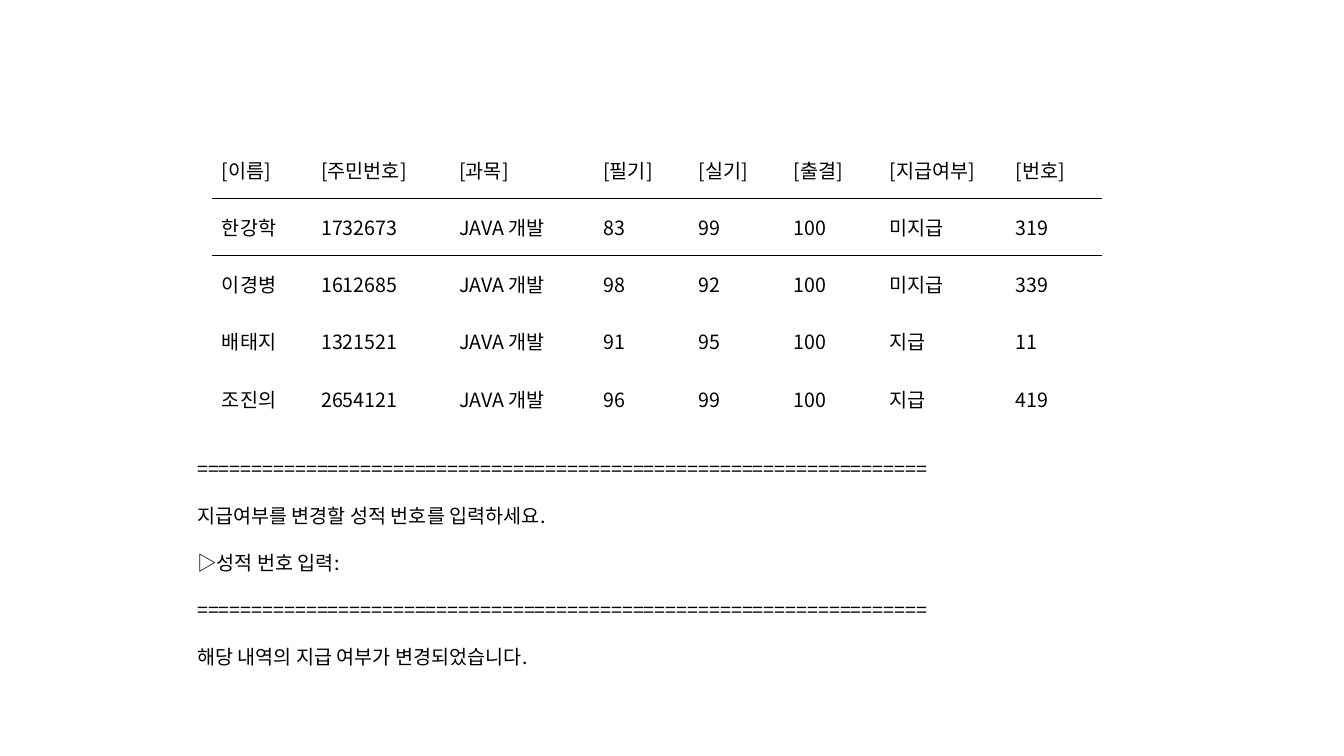
from dataclasses import dataclass

from lxml import etree
from pptx import Presentation
from pptx.dml.color import RGBColor
from pptx.enum.text import MSO_ANCHOR, MSO_AUTO_SIZE
from pptx.oxml.ns import qn
from pptx.slide import Slide
from pptx.table import _Cell
from pptx.text.text import _Paragraph
from pptx.util import Cm, Pt

MIDDLE = MSO_ANCHOR.MIDDLE
GROW = MSO_AUTO_SIZE.SHAPE_TO_FIT_TEXT
BLANK_LAYOUT = 6
PLAIN_TABLE_STYLE = "{2D5ABB26-0587-4C30-8999-92F81FD0307C}"
COLORS = {"ink": "000000"}
FONT = "Noto Sans CJK KR"
TEXT_FORMAT = {"name": FONT, "size": Pt(14), "bold": False}
LINE_HEIGHT = Pt(16.8)
PROMPT_FORMAT = {"line_spacing": LINE_HEIGHT, "space_after": LINE_HEIGHT}
LAST_PROMPT_FORMAT = {"line_spacing": LINE_HEIGHT}
ROW_HEIGHT = 1.44
RULE = "=" * 67


@dataclass(frozen=True)
class Column:
    """A heading and its column width in centimetres."""
    heading: str
    width: float


@dataclass(frozen=True)
class Score:
    """One student's score record."""
    name: str
    resident_number: str
    written: str
    practical: str
    payment: str
    number: str
    subject: str = "JAVA 개발"
    attendance: str = "100"

    def values(self) -> list[str]:
        """Return the values in column order."""
        return [self.name, self.resident_number, self.subject, self.written,
                self.practical, self.attendance, self.payment, self.number]


COLUMNS = [
    Column("이름", 2.5), Column("주민번호", 3.48), Column("과목", 3.63),
    Column("필기", 2.4), Column("실기", 2.4), Column("출결", 2.42),
    Column("지급여부", 3.18), Column("번호", 2.43),
]
SCORES = [
    Score("한강학", "1732673", "83", "99", "미지급", "319"),
    Score("이경병", "1612685", "98", "92", "미지급", "339"),
    Score("배태지", "1321521", "91", "95", "지급", "11"),
    Score("조진의", "2654121", "96", "99", "지급", "419"),
]
PROMPTS = [
    RULE,
    "지급여부를 변경할 성적 번호를 입력하세요.",
    "▷성적 번호 입력:",
    RULE,
    "해당 내역의 지급 여부가 변경되었습니다.",
]


def apply_format(target: object, values: dict) -> None:
    """Set each named attribute on the target."""
    for name, value in values.items():
        setattr(target, name, value)


def write(para: _Paragraph, text: str) -> None:
    """Add one formatted span to a paragraph."""
    span = para.add_run()
    span.text = text
    apply_format(span.font, TEXT_FORMAT)
    span.font.color.rgb = RGBColor.from_string(COLORS["ink"])
    east_asian = etree.SubElement(span._r.get_or_add_rPr(), qn("a:ea"))
    east_asian.set("typeface", FONT)


def add_border(cell: _Cell, side: str) -> None:
    """Draw a one-point line on one side of a cell."""
    line = etree.Element(qn(f"a:{side}"), w=str(Pt(1)))
    fill = etree.SubElement(line, qn("a:solidFill"))
    etree.SubElement(fill, qn("a:srgbClr"), val=COLORS["ink"])
    cell._tc.get_or_add_tcPr().insert(0, line)


def add_score_table(page: Slide) -> None:
    """Add the score table with a line below its headings."""
    rows = [[f"[{column.heading}]" for column in COLUMNS]]
    rows += [score.values() for score in SCORES]
    width = sum(column.width for column in COLUMNS)
    frame = page.shapes.add_table(len(rows), len(COLUMNS), Cm(5.34), Cm(3.56),
                                  Cm(width), Cm(ROW_HEIGHT * len(rows)))
    table = frame.table
    apply_format(table, {"first_row": False, "horz_banding": False})
    table._tbl.tblPr.find(qn("a:tableStyleId")).text = PLAIN_TABLE_STYLE
    for table_column, column in zip(table.columns, COLUMNS):
        table_column.width = Cm(column.width)
    heading_borders = {0: "lnB", 1: "lnT"}
    for row_index, values in enumerate(rows):
        table.rows[row_index].height = Cm(ROW_HEIGHT)
        for column_index, value in enumerate(values):
            cell = table.cell(row_index, column_index)
            cell.vertical_anchor = MIDDLE
            cell.fill.background()
            write(cell.text_frame.paragraphs[0], value)
            if row_index in heading_borders:
                add_border(cell, heading_borders[row_index])


def add_prompts(page: Slide) -> None:
    """Add the console prompts below the table."""
    box = page.shapes.add_textbox(Cm(4.72), Cm(11.38), Cm(23.67), Cm(5.64))
    frame = box.text_frame
    apply_format(frame, {"word_wrap": True, "auto_size": GROW})
    for index, prompt in enumerate(PROMPTS):
        para = frame.add_paragraph() if index else frame.paragraphs[0]
        is_last = index == len(PROMPTS) - 1
        apply_format(para, LAST_PROMPT_FORMAT if is_last else PROMPT_FORMAT)
        write(para, prompt)


def main() -> None:
    """Build and save the deck."""
    deck = Presentation()
    apply_format(deck, {"slide_width": Cm(33.87), "slide_height": Cm(19.05)})
    page = deck.slides.add_slide(deck.slide_layouts[BLANK_LAYOUT])
    add_score_table(page)
    add_prompts(page)
    deck.save("out.pptx")


main()
